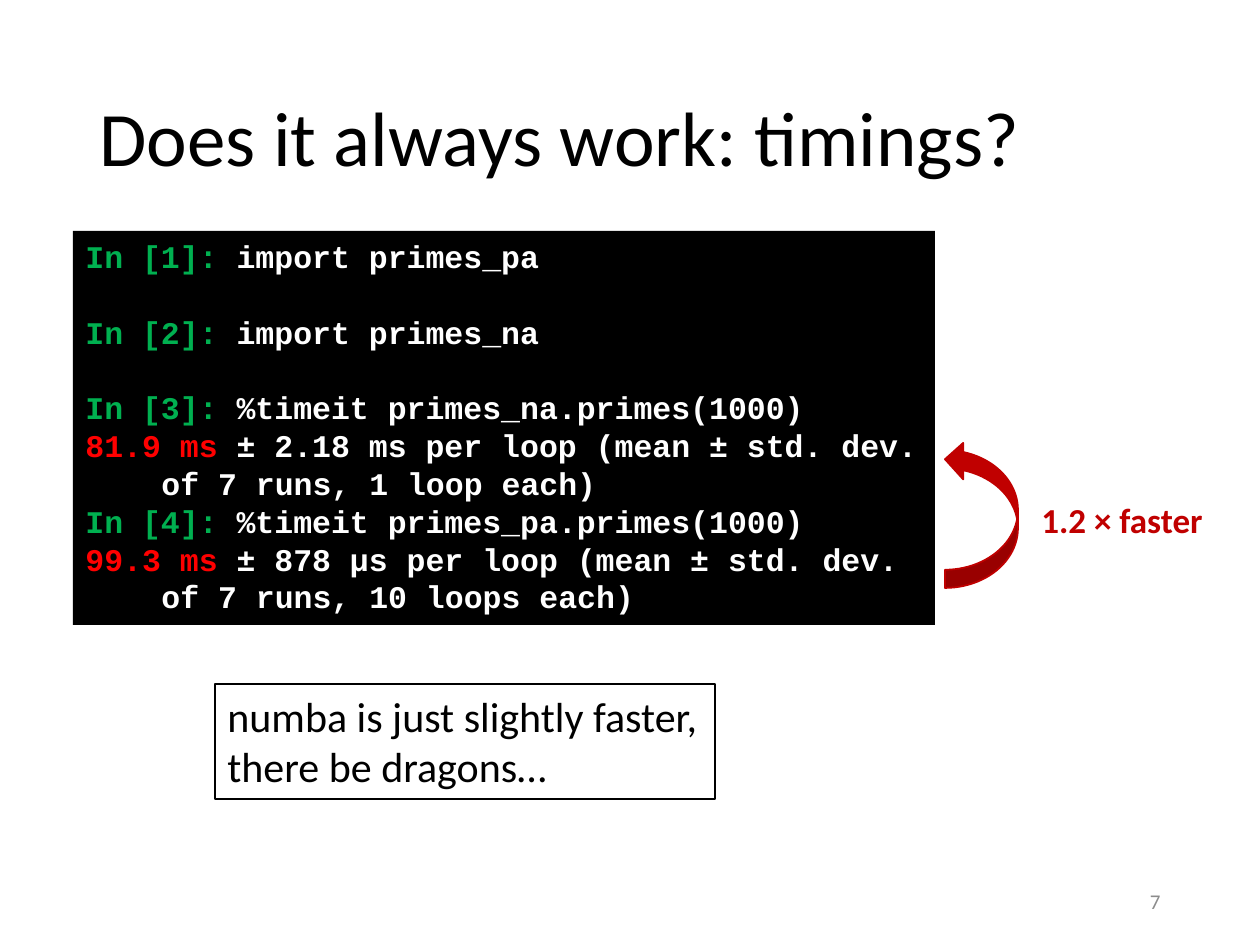
from pptx import Presentation
from pptx import util as u
from pptx.dml.color import RGBColor
from pptx.enum import shapes, text

BLACK = RGBColor(0x00, 0x00, 0x00)
WHITE = RGBColor(0xFF, 0xFF, 0xFF)
GREY = RGBColor(0x8C, 0x8C, 0x8C)
GREEN = RGBColor(0x00, 0xB0, 0x50)
RED = RGBColor(0xFF, 0x00, 0x00)
DARK_RED = RGBColor(0xC0, 0x00, 0x00)

SCALE = 914400 // 126
CODE_PITCH = u.Pt(21.6)
CODE_INDENT = 76

# Each line: prompt or timing, its colour, the rest, blank line after it
SESSION = [
    ("In [1]:", GREEN, " import primes_pa", True),
    ("In [2]:", GREEN, " import primes_na", True),
    ("In [3]:", GREEN, " %timeit primes_na.primes(1000)", False),
    ("81.9 ms", RED, " ± 2.18 ms per loop (mean ± std. dev.", False),
    ("", None, "of 7 runs, 1 loop each)", False),
    ("In [4]:", GREEN, " %timeit primes_pa.primes(1000)", False),
    ("99.3 ms", RED, " ± 878 µs per loop (mean ± std. dev.", False),
    ("", None, "of 7 runs, 10 loops each)", False),
]


def px(n):
    """Turn pixels into EMU."""
    return u.Emu(n * SCALE)


class Deck:
    """Holds the style and the current slide."""

    font = "Calibri"
    code_font = "Courier New"

    def __init__(self, prs):
        """Add a blank slide to the presentation."""
        self.slide = prs.slides.add_slide(prs.slide_layouts[6])

    def shape(self, kind, box, fill=None, line=None, width=1):
        """Draw a preset shape."""
        sp = self.slide.shapes.add_shape(kind, *map(px, box))
        sp.shadow.inherit = False
        if fill is None:
            sp.fill.background()
        else:
            sp.fill.solid()
            sp.fill.fore_color.rgb = fill
        if line is None:
            sp.line.fill.background()
        else:
            sp.line.color.rgb = line
            sp.line.width = u.Pt(width)
        return sp

    def textbox(self, box):
        """Add an empty text box."""
        return self.slide.shapes.add_textbox(*map(px, box))

    def label(self, sp, words, size, color=BLACK, bold=False, wrap=True,
              anchor=text.MSO_ANCHOR.TOP, align=text.PP_ALIGN.LEFT):
        """Put one paragraph into a shape and return it."""
        tf = sp.text_frame
        tf.word_wrap = wrap
        tf.vertical_anchor = anchor
        p = tf.paragraphs[0]
        p.text = words
        p.alignment = align
        p.font.name = self.font
        p.font.size = u.Pt(size)
        p.font.bold = bold
        p.font.color.rgb = color
        return p

    def code(self, sp, lines, size):
        """Put a console session with coloured line starts into a shape."""
        tf = sp.text_frame
        tf.word_wrap = False
        tf.vertical_anchor = text.MSO_ANCHOR.TOP
        for i, (start, color, rest, gap) in enumerate(lines):
            p = tf.add_paragraph() if i else tf.paragraphs[0]
            p.alignment = text.PP_ALIGN.LEFT
            p.line_spacing = CODE_PITCH
            p.space_after = CODE_PITCH if gap else u.Pt(0)
            p.font.name = self.code_font
            p.font.size = u.Pt(size)
            p.font.bold = True
            p.font.color.rgb = WHITE
            if start:
                r = p.add_run()
                r.text = start
                r.font.color.rgb = color
            else:
                p._p.get_or_add_pPr().set("marL", str(px(CODE_INDENT)))
            p.add_run().text = rest


def main():
    """Build the slide and save it."""
    prs = Presentation()
    prs.slide_width, prs.slide_height = px(1260), px(945)
    deck = Deck(prs)
    rect = shapes.MSO_SHAPE.RECTANGLE
    middle = text.MSO_ANCHOR.MIDDLE

    title = deck.textbox((87, 50, 1086, 183))
    p = deck.label(title, "Does it always work: timings?", 44, anchor=middle)
    p.line_spacing = 0.9

    number = deck.textbox((890, 876, 283, 50))
    deck.label(number, "7", 12, GREY, anchor=middle,
               align=text.PP_ALIGN.RIGHT)

    console = deck.shape(rect, (73, 231, 862, 394), fill=BLACK)
    deck.code(console, SESSION, 18)

    arrow = deck.shape(shapes.MSO_SHAPE.CURVED_LEFT_ARROW,
                       (945, 441, 73, 147), fill=DARK_RED, line=DARK_RED)
    arrow._element.spPr.xfrm.set("flipV", "1")
    speedup = deck.textbox((1029, 492, 190, 55))
    deck.label(speedup, "1.2 × faster", 20, DARK_RED, bold=True, wrap=False)

    remark = deck.shape(rect, (215, 684, 500, 115), line=BLACK, width=0.75)
    deck.label(remark, "numba is just slightly faster,\vthere be dragons…",
               24, wrap=False)

    prs.save("out.pptx")


main()
